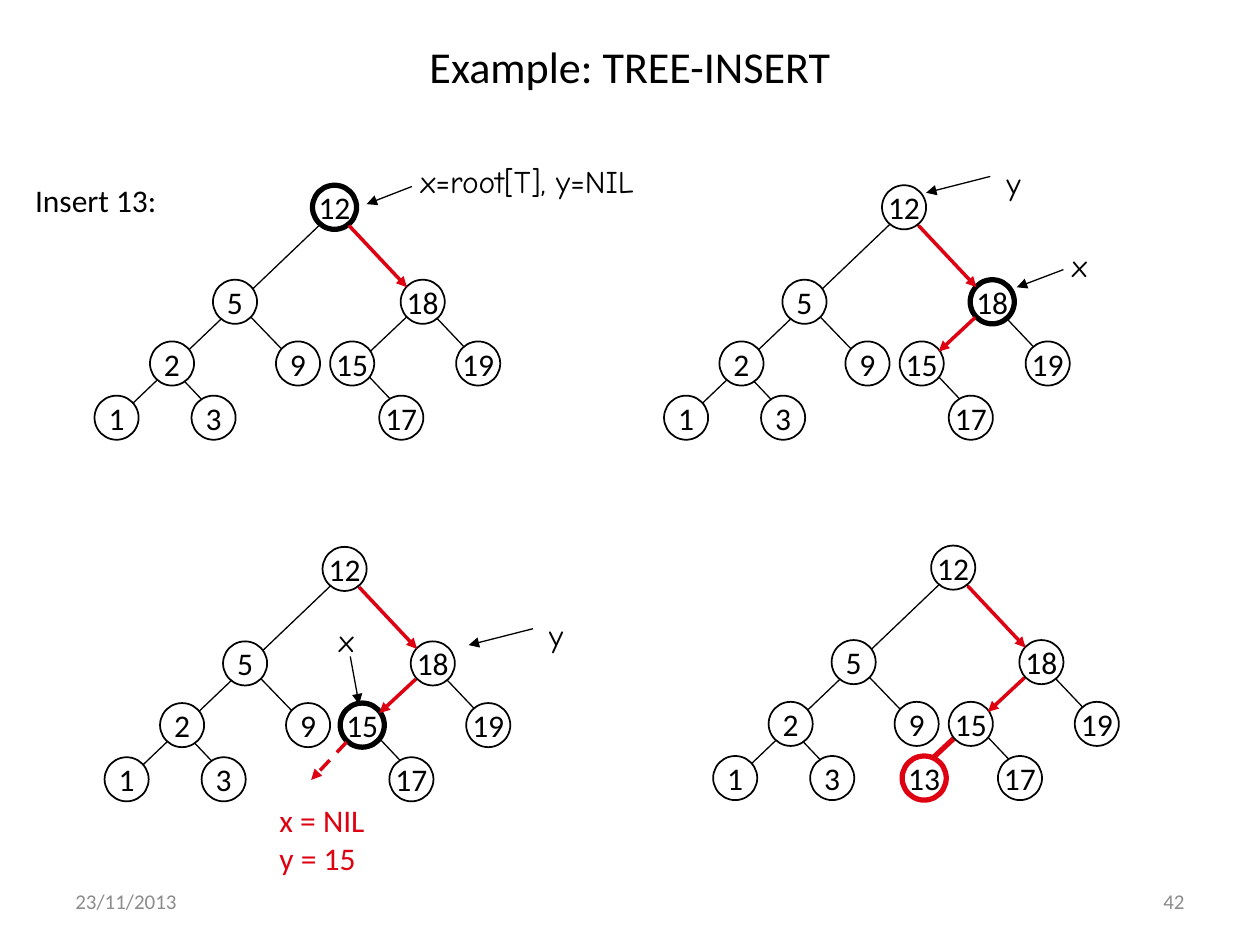
"""Build the TREE-INSERT example slide with four binary search trees."""
import pptx
import pptx.dml.color
import pptx.enum.dml
import pptx.enum.shapes
import pptx.enum.text
import pptx.oxml
import pptx.oxml.ns
import pptx.util

Inches = pptx.util.Inches
ALIGN = pptx.enum.text.PP_ALIGN
ANCHOR = pptx.enum.text.MSO_ANCHOR

BLACK, WHITE, RED, GRAY = "000000", "FFFFFF", "DD0111", "8C8C8C"
BODY, HAND = "Calibri", "Comic Neue"
NODE_SIZE = 0.35

NODES = {
    "2": (0.44, 1.24), "1": (0, 1.67), "3": (0.77, 1.67), "5": (0.94, 0.75),
    "9": (1.44, 1.24), "12": (1.73, 0), "18": (2.43, 0.75),
    "15": (1.87, 1.24), "19": (2.87, 1.24), "17": (2.26, 1.67),
}
NEW_NODE = ("13", (1.5, 1.67))
NEW_EDGE = ((1.6, 1.82), (2.05, 1.4))
EDGES = [
    ((2.53, 1.89), (2, 1.33)),
    ((2.05, 1.45), (2.61, 0.92)),
    ((1.03, 1.89), (0.5, 1.33)),
    ((1.63, 1.45), (1.09, 0.89)),
    ((3.13, 1.49), (1.8, 0.09)),
    ((0.19, 1.84), (1.94, 0.17)),
]
SEARCH_STEPS = [
    ((2.02, 0.32), (2.48, 0.81)),
    ((2.47, 1.05), (2.18, 1.32)),
    ((1.92, 1.55), (1.64, 1.85)),
]
TREES = [
    {"origin": (0.75, 1.47), "current": "12", "steps": 1},
    {"origin": (5.27, 1.47), "current": "18", "steps": 2},
    {"origin": (0.83, 4.34), "current": "15", "steps": 3},
    {"origin": (5.66, 4.33), "current": None, "steps": 2, "inserted": True},
]
POINTERS = [
    ((3.27, 1.48), (2.91, 1.62)),
    ((7.86, 1.4), (7.35, 1.53)),
    ((8.44, 2.14), (8.07, 2.28)),
    ((2.78, 5.21), (2.85, 5.59)),
    ((4.23, 4.99), (3.72, 5.12)),
]
LABELS = [
    (["x=root[T], y=NIL"], (3.24, 1.24, 2.21, 0.4), HAND, BLACK),
    (["y"], (7.89, 1.25, 0.33, 0.4), HAND, BLACK),
    (["x"], (8.41, 1.9, 0.35, 0.4), HAND, BLACK),
    (["x"], (2.59, 4.88, 0.35, 0.4), HAND, BLACK),
    (["y"], (4.26, 4.84, 0.33, 0.4), HAND, BLACK),
    (["Insert 13:"], (0.18, 1.39, 1.24, 0.4), BODY, BLACK),
    (["x = NIL", "y = 15"], (2.12, 6.31, 1, 0.7), BODY, RED),
]
FRAME_TEXTS = [
    ("Example: TREE-INSERT", (0.5, 0.3, 9, 0.45), 25.2, BLACK, ALIGN.CENTER),
    ("23/11/2013", (0.5, 6.95, 2.33, 0.4), 12, GRAY, ALIGN.LEFT),
    ("42", (7.17, 6.95, 2.33, 0.4), 12, GRAY, ALIGN.RIGHT),
]


def color(value):
    return pptx.dml.color.RGBColor.from_string(value)


def write(frame, lines, size, font, ink, align, anchor, wrap):
    frame.word_wrap = wrap
    frame.vertical_anchor = anchor
    for index, line in enumerate(lines):
        para = frame.add_paragraph() if index else frame.paragraphs[0]
        para.text = line
        para.alignment = align
        para.font.size = pptx.util.Pt(size)
        para.font.name = font
        para.font.color.rgb = color(ink)


def add_text(page, lines, area, size, font, ink, align, anchor, wrap):
    box = page.shapes.add_textbox(*map(Inches, area))
    write(box.text_frame, lines, size, font, ink, align, anchor, wrap)


def add_line(owner, ends, origin=(0, 0), ink=BLACK, width=0.75, arrow=False, dashed=False):
    points = [Inches(start + offset) for end in ends for start, offset in zip(end, origin)]
    line = owner.shapes.add_connector(pptx.enum.shapes.MSO_CONNECTOR.STRAIGHT, *points)
    line.line.color.rgb = color(ink)
    line.line.width = pptx.util.Pt(width)
    if dashed:
        line.line.dash_style = pptx.enum.dml.MSO_LINE.DASH
    if arrow:
        tail = pptx.oxml.parse_xml(
            f'<a:tailEnd {pptx.oxml.ns.nsdecls("a")} type="triangle"/>')
        line.line._get_or_add_ln().append(tail)
    properties = line._element.spPr
    properties.append(pptx.oxml.parse_xml(f'<a:effectLst {pptx.oxml.ns.nsdecls("a")}/>'))


def add_node(owner, label, place, origin, ink=BLACK, width=1):
    left, top = (Inches(part + offset) for part, offset in zip(place, origin))
    node = owner.shapes.add_shape(
        pptx.enum.shapes.MSO_SHAPE.OVAL, left, top, Inches(NODE_SIZE), Inches(NODE_SIZE))
    node.shadow.inherit = False
    node.fill.solid()
    node.fill.fore_color.rgb = color(WHITE)
    node.line.color.rgb = color(ink)
    node.line.width = pptx.util.Pt(width)
    frame = node.text_frame
    frame.margin_left = frame.margin_right = frame.margin_top = frame.margin_bottom = 0
    write(frame, [label], 18, BODY, BLACK, ALIGN.CENTER, ANCHOR.MIDDLE, False)


def add_tree(page, origin, current, steps, inserted=False):
    group = page.shapes.add_group_shape()
    if inserted:
        add_line(group, NEW_EDGE, origin, RED, 3)
        add_node(group, *NEW_NODE, origin, RED, 3)
    for edge in EDGES:
        add_line(group, edge, origin)
    for label, place in NODES.items():
        add_node(group, label, place, origin, width=3 if label == current else 1)
    for index, step in enumerate(SEARCH_STEPS[:steps]):
        add_line(group, step, origin, RED, 2, arrow=True, dashed=index == 2)


def main():
    deck = pptx.Presentation()
    deck.slide_width, deck.slide_height = Inches(10), Inches(7.5)
    page = deck.slides.add_slide(deck.slide_layouts[6])
    for text, area, size, ink, align in FRAME_TEXTS:
        add_text(page, [text], area, size, BODY, ink, align, ANCHOR.MIDDLE, True)
    for tree in TREES:
        add_tree(page, **tree)
    for pointer in POINTERS:
        add_line(page, pointer, arrow=True)
    for lines, area, font, ink in LABELS:
        add_text(page, lines, area, 18, font, ink, ALIGN.LEFT, ANCHOR.TOP, False)
    deck.save("out.pptx")


if __name__ == "__main__":
    main()
